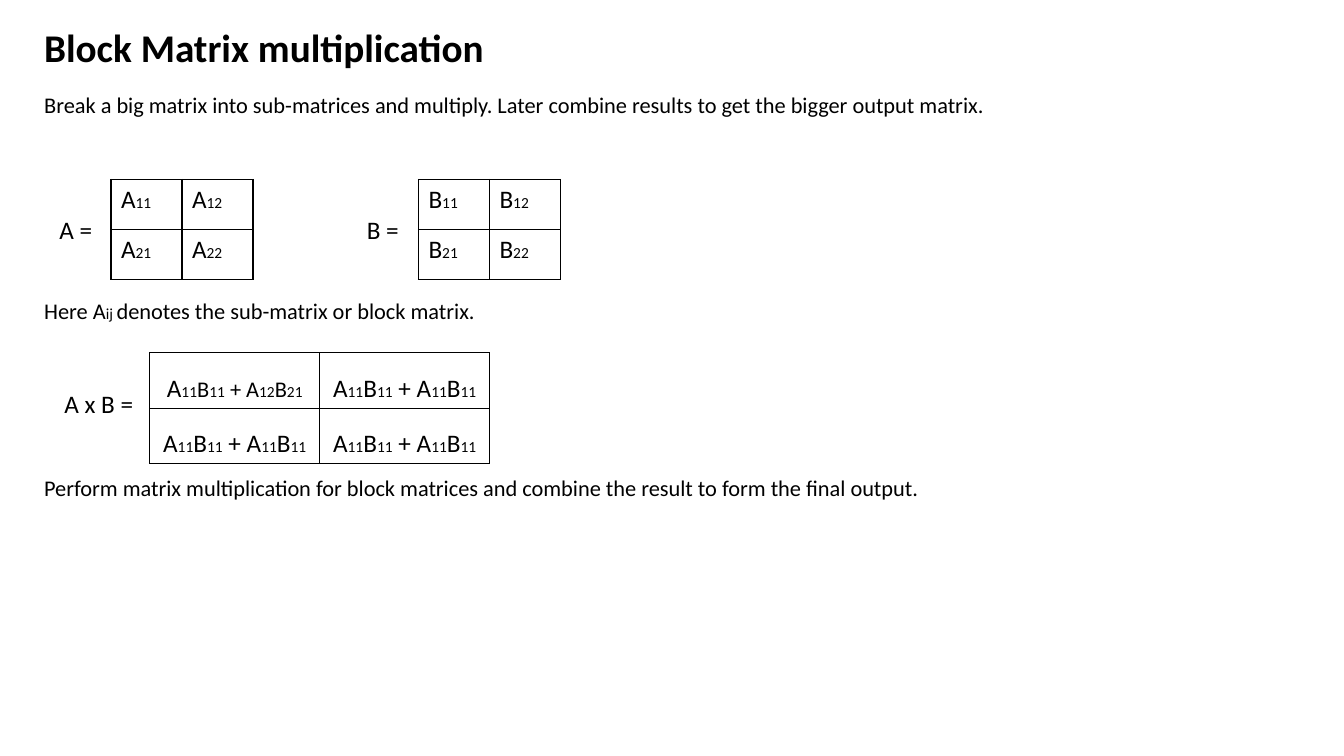
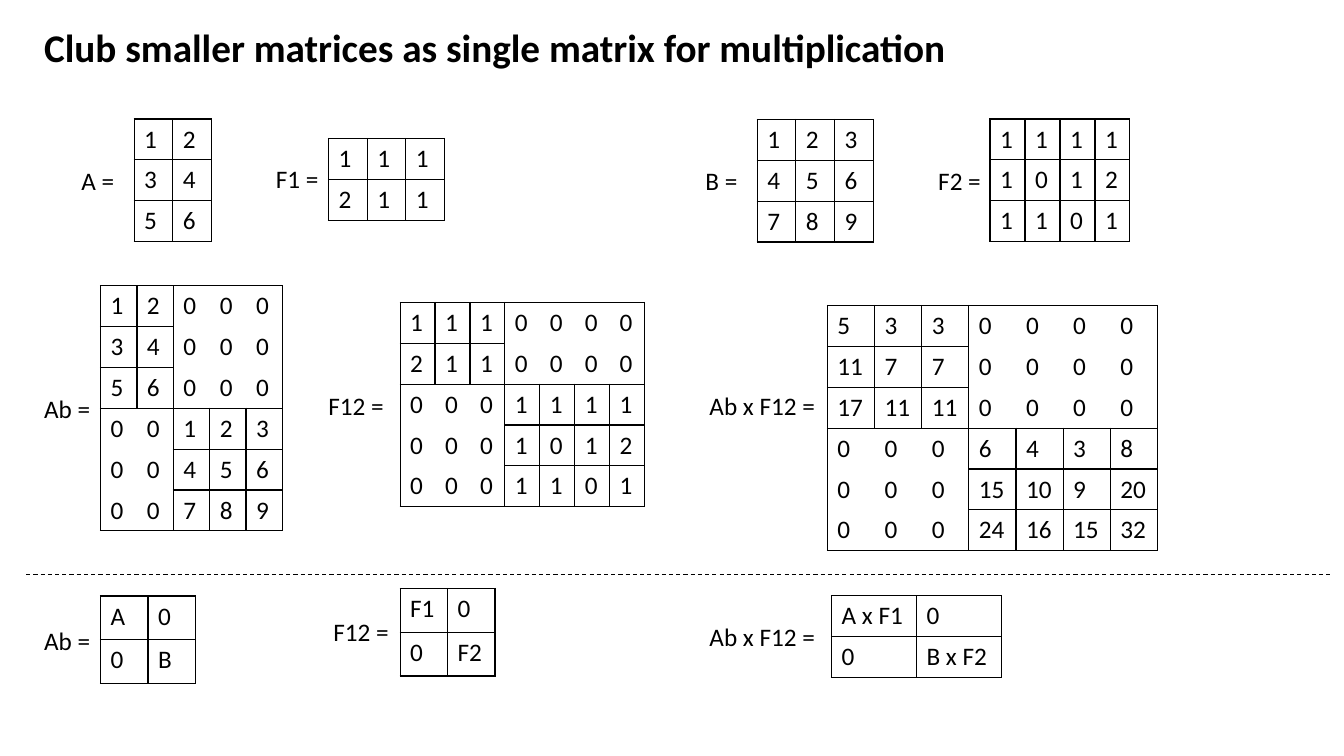
"""Build two slides on block matrix multiplication."""
from dataclasses import dataclass

from lxml.etree import SubElement as Sub
from pptx import Presentation
from pptx.dml.color import RGBColor as Color
from pptx.enum.dml import MSO_LINE as Dash
from pptx.enum.shapes import MSO_CONNECTOR as Link
from pptx.enum.text import MSO_ANCHOR as Anchor, MSO_AUTO_SIZE as Fit, PP_ALIGN as Align
from pptx.oxml.ns import qn
from pptx.util import Pt


@dataclass(frozen=True)
class Theme:
    """Colours, type sizes and shared measures."""
    ink: str = "000000"
    font: str = "Calibri"
    title: float = 28
    body: float = 16
    cell: float = 18
    sub: float = 11
    left: float = 24.5
    wide: float = 720
    row: float = 29.2


THEME = Theme()
SIDES = {"L": (0, -1), "R": (0, 1), "T": (-1, 0), "B": (1, 0)}


def write(para, text, size, bold=False):
    """Write text whose every second part, split by |, is a small index."""
    for i, part in enumerate(text.split("|")):
        run = para.add_run()
        run.text = part
        font = run.font
        font.name, font.bold = THEME.font, bold
        font.size = Pt(THEME.sub if i % 2 else size)
        font.color.rgb = Color.from_string(THEME.ink)


def add_box(slide, text, x, y, w, h, size, bold=False):
    """Add a text box and return its frame."""
    frame = slide.shapes.add_textbox(Pt(x), Pt(y), Pt(w), Pt(h)).text_frame
    frame.word_wrap = True
    write(frame.paragraphs[0], text, size, bold)
    return frame


def add_title(slide, text):
    """Add the slide title."""
    frame = add_box(slide, text, THEME.left, 10.8, THEME.wide, 43.2, THEME.title, True)
    frame.vertical_anchor = Anchor.BOTTOM
    frame.paragraphs[0].line_spacing = 0.9


def add_note(slide, text, y):
    """Add a line of body text."""
    para = add_box(slide, text, THEME.left, y, THEME.wide, 30.2, THEME.body).paragraphs[0]
    para.line_spacing = 0.9
    para.space_before = Pt(10)


def add_label(slide, text, x, y, w):
    """Add the name that stands before a matrix."""
    frame = add_box(slide, text, x, y, w, 29, THEME.cell)
    frame.word_wrap = False
    frame.auto_size = Fit.SHAPE_TO_FIT_TEXT


def edge(cell, side, shown):
    """Draw or hide one border of a cell."""
    line = Sub(cell._tc.get_or_add_tcPr(), qn(f"a:ln{side}"), w=str(Pt(1)))
    if shown:
        fill = Sub(line, qn("a:solidFill"))
        Sub(fill, qn("a:srgbClr"), val=THEME.ink)
    else:
        Sub(line, qn("a:noFill"))


def add_grid(slide, rows, x, y, w, h=THEME.row, holes=()):
    """Add a matrix; neighbours that are both holes share no border."""
    high, wide = len(rows), len(rows[0])
    table = slide.shapes.add_table(
        high, wide, Pt(x), Pt(y), Pt(w * wide), Pt(h * high)).table
    table.first_row = table.horz_banding = False
    for col in table.columns:
        col.width = Pt(w)
    for r, row in enumerate(rows):
        table.rows[r].height = Pt(h)
        for c, value in enumerate(row):
            cell = table.cell(r, c)
            write(cell.text_frame.paragraphs[0], str(value), THEME.cell)
            for side, (down, right) in SIDES.items():
                inner = (r, c) in holes and (r + down, c + right) in holes
                edge(cell, side, not inner)
            cell.fill.background()
    return table


def add_rule(slide, x, y, end):
    """Add a dashed level line."""
    rule = slide.shapes.add_connector(Link.STRAIGHT, Pt(x), Pt(y), Pt(end), Pt(y))
    rule.line.color.rgb = Color.from_string(THEME.ink)
    rule.line.width = Pt(0.75)
    rule.line.dash_style = Dash.DASH
    Sub(rule._element.spPr, qn("a:effectLst"))


def times(a, b):
    """Multiply two matrices."""
    return [[sum(p * q for p, q in zip(row, col)) for col in zip(*b)] for row in a]


def join(a, b):
    """Set two matrices on a diagonal; return the rows and the zero cells."""
    wa, wb = len(a[0]), len(b[0])
    rows = [row + [0] * wb for row in a] + [[0] * wa + row for row in b]
    holes = {(r, c) for r in range(len(rows)) for c in range(wa + wb)
             if (r < len(a)) != (c < wa)}
    return rows, holes


def draw_blocks(slide):
    """Fill the slide on block products."""
    add_title(slide, "Block Matrix multiplication")
    add_note(slide, "Break a big matrix into sub-matrices and multiply. "
             "Later combine results to get the bigger output matrix.", 63.4)
    for name, x in (("A", 35.3), ("B", 254.9)):
        rows = [[f"{name}|{r}{c}" for c in (1, 2)] for r in (1, 2)]
        add_grid(slide, rows, x + 44, 128.2, 50.7, 35.6)
        add_label(slide, f"{name} =", x, 149.8, 38)
    add_note(slide, "Here A|ij |denotes the sub-matrix or block matrix.", 211)
    add_label(slide, "A x B = ", 38.9, 273.6, 68.4)
    same = "A|11|B|11| + A|11|B|11"
    table = add_grid(slide, [["A|11|B|11| + A|12|B|21", same], [same, same]],
                     107, 252, 121.4, 35.5)
    for cell in table.iter_cells():
        para = cell.text_frame.paragraphs[0]
        para.alignment, para.line_spacing = Align.CENTER, 1.5
    for run in table.cell(0, 0).text_frame.paragraphs[0].runs[2::2]:
        run.font.size = Pt(THEME.body)
    add_note(slide, "Perform matrix multiplication for block matrices and combine "
             "the result to form the final output.", 337)


def draw_club(slide):
    """Fill the slide on clubbed matrices."""
    add_title(slide, "Club smaller matrices as single matrix for multiplication")
    a = [[1, 2], [3, 4], [5, 6]]
    b = [[1, 2, 3], [4, 5, 6], [7, 8, 9]]
    f1 = [[1, 1, 1], [2, 1, 1]]
    f2 = [[1, 1, 1, 1], [1, 0, 1, 2], [1, 1, 0, 1]]
    for rows, x, y, w in ((a, 95.8, 85, 27.6), (f1, 234.7, 98.9, 27.6),
                          (b, 540.9, 85.3, 27.6), (f2, 707.2, 85, 25)):
        add_grid(slide, rows, x, y, w)
    for top, low, x, y, w in ((a, b, 71.8, 204, 26),
                              (f1, f2, 285.8, 216, 24.95),
                              (times(a, f1), times(b, f2), 591, 218.2, 33.7)):
        rows, holes = join(top, low)
        add_grid(slide, rows, x, y, w, holes=holes)
    add_rule(slide, 18.7, 410.4, 950.4)
    for top, low, x, y, w, h in (("A", "B", 71.8, 425.7, 33.9, 31.3),
                                 ("F1", "F2", 285.8, 420.3, 33.9, 31.3),
                                 ("A x F1", "B x F2", 594, 425.5, 60.7, THEME.row)):
        add_grid(slide, [[top, 0], [0, low]], x, y, w, h)
    for text, x, y, w in (("A =", 51.1, 114.5, 38), ("F1 =", 190, 113, 45.3),
                          ("B =", 496.8, 114.5, 38), ("F2 =", 663.1, 114.5, 45.3),
                          ("Ab =", THEME.left, 277.2, 47.5),
                          ("F12 =", 227.5, 275, 54.7),
                          ("Ab x F12 =", 499.7, 275, 91.4),
                          ("Ab =", THEME.left, 442.8, 47.5),
                          ("F12 =", 231.1, 437, 54.7),
                          ("Ab x F12 =", 499.7, 439.9, 91.4)):
        add_label(slide, text, x, y, w)


def main():
    """Build and save the deck."""
    deck = Presentation()
    deck.slide_width, deck.slide_height = Pt(960), Pt(540)
    for draw in (draw_blocks, draw_club):
        draw(deck.slides.add_slide(deck.slide_layouts[6]))
    deck.save("out.pptx")


main()
